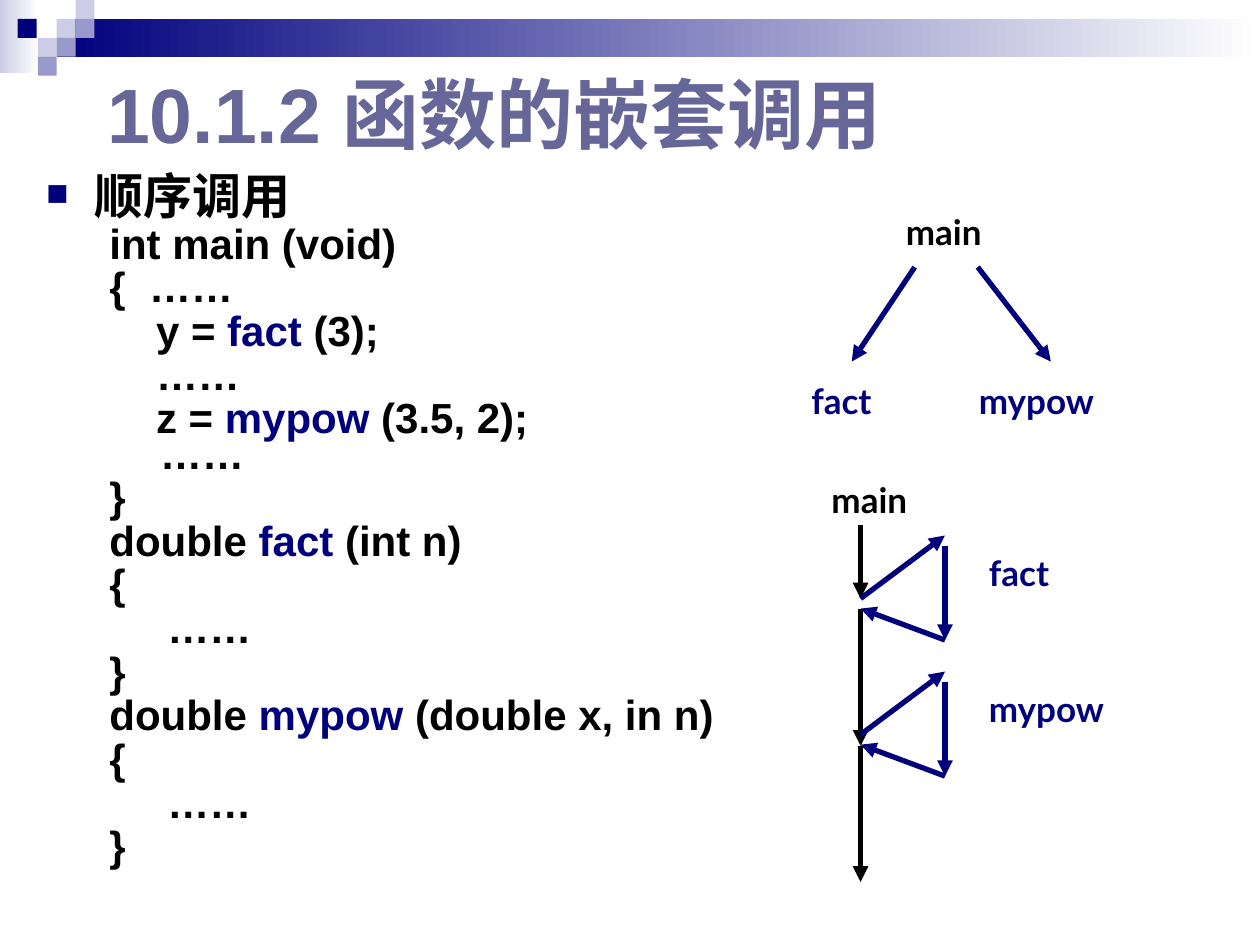
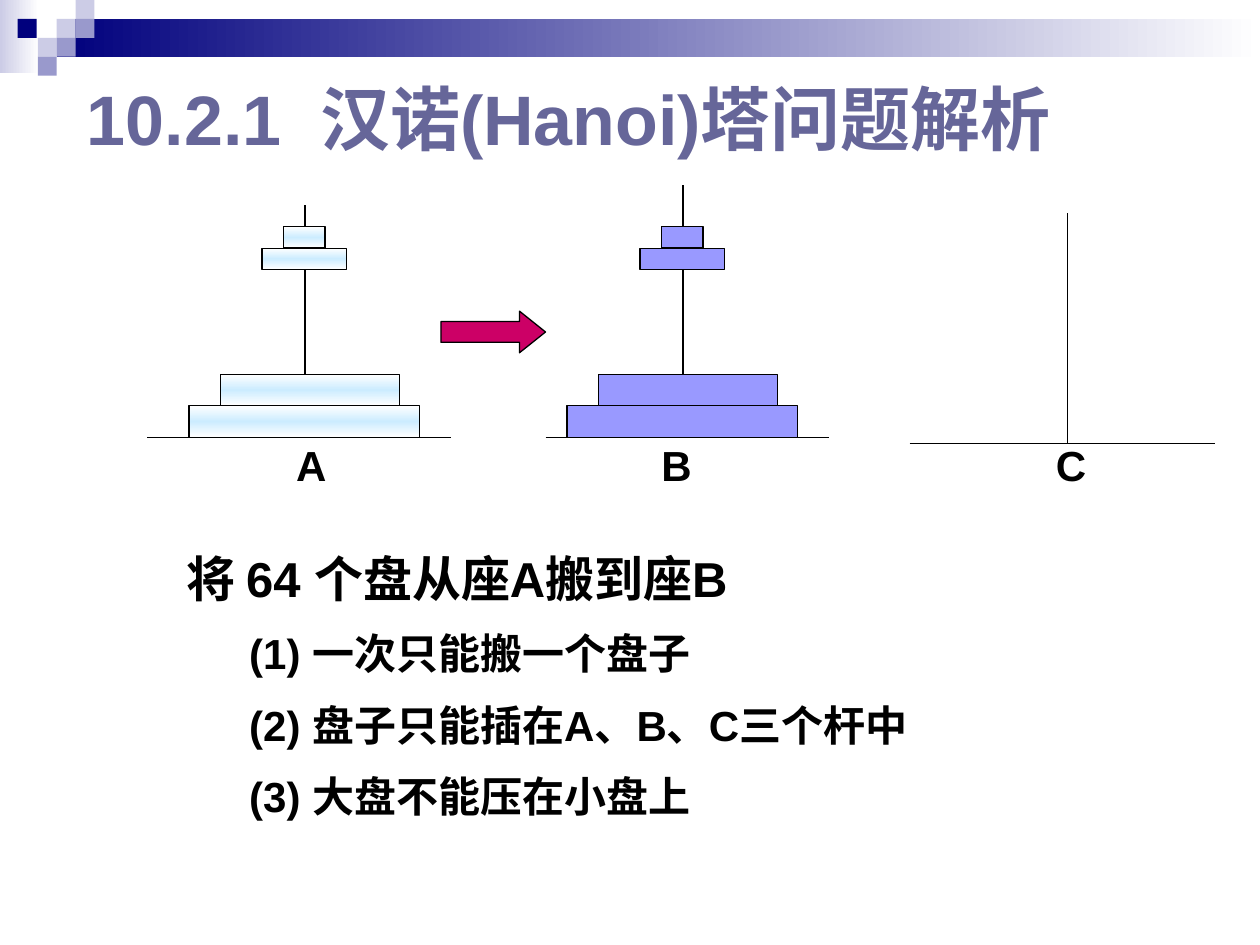
from copy import deepcopy
from lxml.etree import SubElement
from pptx import Presentation
from pptx.dml.color import RGBColor
from pptx.enum.shapes import MSO_CONNECTOR, MSO_SHAPE
from pptx.enum.text import MSO_ANCHOR, MSO_AUTO_SIZE, PP_ALIGN
from pptx.oxml.ns import qn
from pptx.util import Inches, Pt

NAVY = RGBColor(0x00, 0x00, 0x7D)
LAVENDER = RGBColor(0xCC, 0xCC, 0xE6)
LILAC = RGBColor(0x99, 0x99, 0xCC)
SLATE = RGBColor(0x66, 0x66, 0x99)
DISC_BLUE = RGBColor(0x99, 0x99, 0xFF)
SKY = RGBColor(0xCC, 0xEC, 0xFF)
MAGENTA = RGBColor(0xCC, 0x00, 0x66)
BLACK = RGBColor(0x00, 0x00, 0x00)
WHITE = RGBColor(0xFF, 0xFF, 0xFF)

SQUARE = 0.15
SQUARES = [
    (0.45, 0.15, LAVENDER), (0.6, 0, LAVENDER), (0.6, 0.15, LILAC),
    (0.3, 0.3, LAVENDER), (0.14, 0.15, NAVY), (0.45, 0.3, LILAC),
    (0.3, 0.45, LILAC),
]
CODE = [
    (0, ["int main (void)"]),
    (0, ["{  ……"]),
    (0.37, ["y =", " fact ", "(3);"]),
    (0.37, ["……"]),
    (0.37, ["z = ", "mypow ", "(3.5, 2);", "\n", " ……"]),
    (0, ["}"]),
    (0, ["double ", "fact ", "(int n)"]),
    (0, ["{"]),
    (0.46, ["……"]),
    (0, ["}"]),
    (0, ["double ", "mypow ", "(double x, in n)"]),
    (0, ["{"]),
    (0.46, ["……"]),
    (0, ["}"]),
]
RULES = [
    "(1) 一次只能搬一个盘子",
    "(2) 盘子只能插在A、B、C三个杆中",
    "(3) 大盘不能压在小盘上",
]
DISCS = [
    (-0.92, 0.25, 1.83, 0.25), (-0.67, 0.5, 1.42, 0.25),
    (-0.34, 1.5, 0.67, 0.17), (-0.17, 1.67, 0.33, 0.17),
]


def style_run(r, size, color=BLACK, font="Arial"):
    r.font.size = Pt(size)
    r.font.bold = True
    r.font.name = font
    r.font.color.rgb = color


def fill_shape(sp, colors, angle=0):
    if len(colors) == 1:
        sp.fill.solid()
        sp.fill.fore_color.rgb = colors[0]
        return
    sp.fill.gradient()
    sp.fill.gradient_angle = angle
    stops = sp.element.spPr.find(qn("a:gradFill")).find(qn("a:gsLst"))
    while len(stops) < len(colors):
        stops.append(deepcopy(stops[-1]))
    for i, (stop, color) in enumerate(zip(sp.fill.gradient_stops, colors)):
        stop.position = i / (len(colors) - 1)
        stop.color.rgb = color


def add_block(s, x, y, w, h, colors, angle=0, outlined=False, kind=MSO_SHAPE.RECTANGLE):
    sp = s.shapes.add_shape(kind, Inches(x), Inches(y), Inches(w), Inches(h))
    sp.shadow.inherit = False
    fill_shape(sp, colors, angle)
    if outlined:
        sp.line.color.rgb = BLACK
        sp.line.width = Pt(0.75)
    else:
        sp.line.fill.background()
    return sp


def add_line(s, x1, y1, x2, y2, color=BLACK, width=0.75, arrow=False):
    c = s.shapes.add_connector(MSO_CONNECTOR.STRAIGHT, Inches(x1), Inches(y1), Inches(x2), Inches(y2))
    c.line.color.rgb = color
    c.line.width = Pt(width)
    if arrow:
        SubElement(c.line._get_or_add_ln(), qn("a:tailEnd"), type="triangle")
    SubElement(c.element.spPr, qn("a:effectLst"))


def add_arrow(s, x1, y1, x2, y2, color=NAVY):
    add_line(s, x1, y1, x2, y2, color, 3, True)


def add_text(s, x, y, w, h):
    tf = s.shapes.add_textbox(Inches(x), Inches(y), Inches(w), Inches(h)).text_frame
    tf.word_wrap = True
    return tf


def add_label(s, text, x, y, w, color=BLACK, size=20, font="Lato", align=PP_ALIGN.LEFT):
    tf = add_text(s, x, y, w, 0.43)
    tf.text = text
    p = tf.paragraphs[0]
    p.alignment = align
    style_run(p.runs[0], size, color, font)


def format_paragraph(p, margin, indent, before, spacing=1.0):
    pPr = p._p.get_or_add_pPr()
    pPr.set("marL", str(Inches(margin)))
    pPr.set("indent", str(Inches(indent)))
    SubElement(SubElement(pPr, qn("a:spcBef")), qn("a:spcPct"), val=str(before * 1000))
    p.line_spacing = spacing
    return pPr


def add_bullet(pPr):
    color = SubElement(pPr, qn("a:buClr"))
    SubElement(color, qn("a:srgbClr"), val=str(NAVY))
    SubElement(pPr, qn("a:buSzPct"), val="75000")
    SubElement(pPr, qn("a:buFont"), typeface="Arial")
    SubElement(pPr, qn("a:buChar"), char="■")


def add_base_slide(prs, title, size, x, y, w):
    s = prs.slides.add_slide(prs.slide_layouts[5])
    add_block(s, 0, 0, 0.31, 0.58, [LAVENDER, WHITE])
    add_block(s, 0.45, 0.15, 9.55, 0.3, [NAVY, WHITE])
    for left, top, color in SQUARES:
        add_block(s, left, top, SQUARE, SQUARE, [color])
    sp = s.shapes.title
    sp.left, sp.top, sp.width, sp.height = Inches(x), Inches(y), Inches(w), Inches(0.83)
    tf = sp.text_frame
    tf.text = title
    tf.auto_size = MSO_AUTO_SIZE.NONE
    tf.vertical_anchor = MSO_ANCHOR.MIDDLE
    p = tf.paragraphs[0]
    p.alignment = PP_ALIGN.LEFT
    style_run(p.runs[0], size, SLATE)
    return s


def add_code(s, x, y, w, h):
    tf = add_text(s, x, y, w, h)
    tf.text = "顺序调用"
    p = tf.paragraphs[0]
    add_bullet(format_paragraph(p, 0.38, -0.38, 20, 0.7))
    style_run(p.runs[0], 28)
    for offset, pieces in CODE:
        p = tf.add_paragraph()
        format_paragraph(p, 0.81, offset - 0.31, 20, 0.7)
        for piece in pieces:
            if piece == "\n":
                p.add_line_break()
                continue
            r = p.add_run()
            r.text = piece
            style_run(r, 24, NAVY if piece.strip() in ("fact", "mypow") else BLACK)


def add_call_tree(s, x, y):
    add_label(s, "main", x + 0.75, y, 1.08)
    add_label(s, "fact", x, y + 1.34, 0.75, NAVY)
    add_label(s, "mypow", x + 1.33, y + 1.34, 1.42, NAVY)
    add_arrow(s, x + 0.92, y + 0.5, x + 0.42, y + 1.25)
    add_arrow(s, x + 1.42, y + 0.5, x + 2, y + 1.25)


def add_call_loop(s, name, x, y):
    right = x + 0.67
    add_arrow(s, x, y, right, y - 0.5)
    add_arrow(s, right, y - 0.42, right, y + 0.33)
    add_arrow(s, right, y + 0.33, x, y + 0.08)
    add_label(s, name, x + 0.92, y - 0.42, 1.33, NAVY)


def add_call_sequence(s, x, y):
    add_label(s, "main", x - 0.33, y - 0.42, 1.08)
    for start, end in [(0, 0.58), (0.66, 1.75), (1.75, 2.83)]:
        add_arrow(s, x, y + start, x, y + end, BLACK)
    for name, offset in [("fact", 0.58), ("mypow", 1.66)]:
        add_call_loop(s, name, x, y + offset)


def add_tower(s, name, pole, base, left, right, top, label_x, colors=None):
    add_line(s, left, base, right, base)
    add_line(s, pole, base, pole, top)
    if colors:
        for dx, rise, w, h in DISCS:
            add_block(s, pole + dx, base - rise, w, h, colors, 90, True)
    add_label(s, name, label_x - 0.5, 3.44, 1, size=24, font="Arial", align=PP_ALIGN.CENTER)


def add_rules(s, x, y, w, h):
    tf = add_text(s, x, y, w, h)
    tf.text = "\n".join(["将 64 个盘从座A搬到座B"] + RULES)
    for i, p in enumerate(tf.paragraphs):
        margin, indent, size = (0.81, -0.31, 24) if i else (0.38, -0.38, 28)
        format_paragraph(p, margin, indent, 50)
        style_run(p.runs[0], size)


def build_nested_calls(prs):
    s = add_base_slide(prs, "10.1.2 函数的嵌套调用", 44, 0.75, 0.48, 6.75)
    add_code(s, 0.27, 1.39, 5.51, 5.91)
    add_call_tree(s, 6.34, 1.62)
    add_call_sequence(s, 6.83, 4.17)


def build_hanoi(prs):
    s = add_base_slide(prs, "10.2.1  汉诺(Hanoi)塔问题解析", 40, 0.59, 0.52, 8.5)
    add_rules(s, 1.38, 4.3, 6.5, 2.58)
    add_tower(s, "A", 2.42, 3.47, 1.17, 3.58, 1.63, 2.47, [WHITE, SKY, WHITE])
    add_tower(s, "B", 5.42, 3.47, 4.33, 6.58, 1.47, 5.37, [DISC_BLUE])
    add_tower(s, "C", 8.47, 3.52, 7.22, 9.64, 1.69, 8.5)
    sp = add_block(s, 3.5, 2.47, 0.83, 0.33, [MAGENTA], outlined=True, kind=MSO_SHAPE.RIGHT_ARROW)
    sp.adjustments[1] = 0.625


def main():
    prs = Presentation()
    prs.slide_width, prs.slide_height = Inches(10), Inches(7.5)
    build_nested_calls(prs)
    build_hanoi(prs)
    prs.save("out.pptx")


if __name__ == "__main__":
    main()
